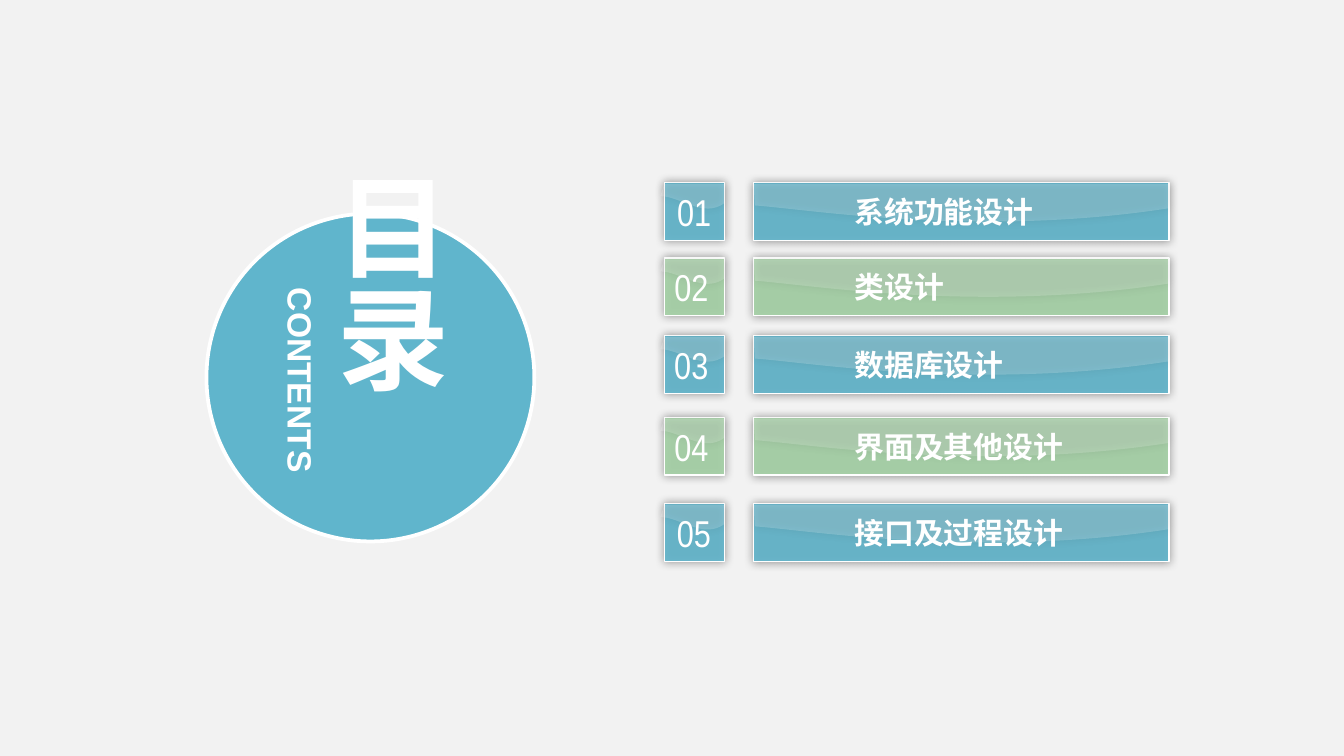
from lxml import etree
from pptx import Presentation
from pptx.dml.color import RGBColor
from pptx.enum.shapes import MSO_SHAPE
from pptx.enum.text import MSO_ANCHOR, MSO_AUTO_SIZE, PP_ALIGN
from pptx.oxml.ns import qn
from pptx.util import Pt

RECT, OVAL = MSO_SHAPE.RECTANGLE, MSO_SHAPE.OVAL
LEFT, CENTER = PP_ALIGN.LEFT, PP_ALIGN.CENTER
TOP, MIDDLE = MSO_ANCHOR.TOP, MSO_ANCHOR.MIDDLE
GROW = MSO_AUTO_SIZE.SHAPE_TO_FIT_TEXT

WHITE, BLUE, GREEN = "FFFFFF", "60B5CC", "A6D3A7"
LATIN, NARROW, HAN = "Arial", "Arial Narrow", "Noto Sans CJK SC"

ITEMS = [
    ("01", "系统功能设计", 97.9, 1.2),
    ("02", "类设计", 138.2, -0.2),
    ("03", "数据库设计", 179.9, -0.3),
    ("04", "界面及其他设计", 223.6, -0.2),
    ("05", "接口及过程设计", 269.8, 1.1),
]
TAB_ARC = [(32.4, 10.8), (20.9, 19.4), (8.6, 7.2), (-2.2, 7.2)]
BAR_ARC = [(222.5, 13.7), (120.2, 29.5), (31, 14.4), (0.7, 12.2)]


def color(code):
    return RGBColor.from_string(code)


def paint(shape, code, alpha=100, line=0):
    shape.fill.solid()
    shape.fill.fore_color.rgb = color(code)
    if alpha < 100:
        tint = shape.fill._xPr.find(".//" + qn("a:srgbClr"))
        etree.SubElement(tint, qn("a:alpha"), val=str(alpha * 1000))
    if line:
        shape.line.color.rgb = color(WHITE)
        shape.line.width = Pt(line)
    else:
        shape.line.fill.background()
    shape.shadow.inherit = False


def shade(shape):
    glow = shape._element.spPr.find(qn("a:effectLst"))
    drop = etree.SubElement(glow, qn("a:outerShdw"), blurRad=str(Pt(5)),
                            dist="0", dir="0", algn="ctr", rotWithShape="0")
    tint = etree.SubElement(drop, qn("a:srgbClr"), val="000000")
    etree.SubElement(tint, qn("a:alpha"), val="40000")


def write(shapes, box, text, size, font, bold=False, align=CENTER,
          anchor=TOP, wrap=False, inset=True):
    area = shapes.add_textbox(*map(Pt, box))
    frame = area.text_frame
    frame.word_wrap = wrap
    frame.auto_size = GROW
    frame.vertical_anchor = anchor
    if not inset:
        frame.margin_left = frame.margin_right = 0
        frame.margin_top = frame.margin_bottom = 0
    para = frame.paragraphs[0]
    para.alignment = align
    run = para.add_run()
    run.text = text
    run.font.size = Pt(size)
    run.font.bold = bold
    run.font.color.rgb = color(WHITE)
    run.font.name = font
    etree.SubElement(run.font._element, qn("a:ea"), typeface=font)
    return area


def bend(shape, depth):
    track = shape._element.spPr.find(".//" + qn("a:path"))
    lines = track.findall(qn("a:lnTo"))[-3:]
    arc = etree.Element(qn("a:cubicBezTo"))
    lines[0].addprevious(arc)
    for line in lines:
        arc.append(line[0])
        track.remove(line)
    track.set("h", str(Pt(depth)))
    shape.height = Pt(depth)


def tile(shapes, box, code, arc, depth):
    left, top, width, _ = box
    base = shapes.add_shape(RECT, *map(Pt, box))
    paint(base, code, 89, 0.75)
    shade(base)
    dots = [(width, 0.7), *arc]
    pen = shapes.build_freeform(Pt(left), Pt(top + 0.7))
    pen.add_line_segments([(Pt(left + x), Pt(top + y)) for x, y in dots])
    gloss = pen.convert_to_shape()
    bend(gloss, depth)
    paint(gloss, WHITE, 18)
    shade(gloss)


def entry(slide, box, code, number, label, nudge):
    left, top, width, height = box
    tab = slide.shapes.add_group_shape().shapes
    tile(tab, (left, top, 32.4, height), code, TAB_ARC, 13.7)
    write(tab, (left - 2.9 + nudge, top, 35.3, 31.5), number, 20, NARROW)
    bar = slide.shapes.add_group_shape().shapes
    start = left + 47.8
    tile(bar, (start, top, width - 47.8, height), code, BAR_ARC, 20.9)
    write(bar, (start + 47, top + 2.4, 16 * len(label) + 14.4, 26.6),
          label, 16, HAN, True, LEFT)


def disc(slide, box):
    left, top, _, _ = box
    shapes = slide.shapes
    paint(shapes.add_shape(OVAL, *map(Pt, box)), BLUE, line=2)
    title = write(shapes, (left + 61.5, top - 22.6, 72.7, 212.4), "目录", 60,
                  LATIN, True, anchor=MIDDLE, wrap=True, inset=False)
    title.text_frame._txBody.bodyPr.set("vert", "eaVert")
    sub = write(shapes, (left - 41.9, top + 78.5, 185, 21.6), "CONTENTS", 18,
                LATIN, True, wrap=True, inset=False)
    sub.rotation = 90


def main():
    deck = Presentation()
    deck.slide_width, deck.slide_height = Pt(720), Pt(405)
    slide = deck.slides.add_slide(deck.slide_layouts[6])
    slide.background.fill.solid()
    slide.background.fill.fore_color.rgb = color("F2F2F2")
    disc(slide, (110.6, 114.4, 175.7, 175.7))
    for i, (number, label, top, nudge) in enumerate(ITEMS):
        entry(slide, (355.9, top, 270.3, 31), (BLUE, GREEN)[i % 2],
              number, label, nudge)
    deck.save("out.pptx")


if __name__ == "__main__":
    main()
